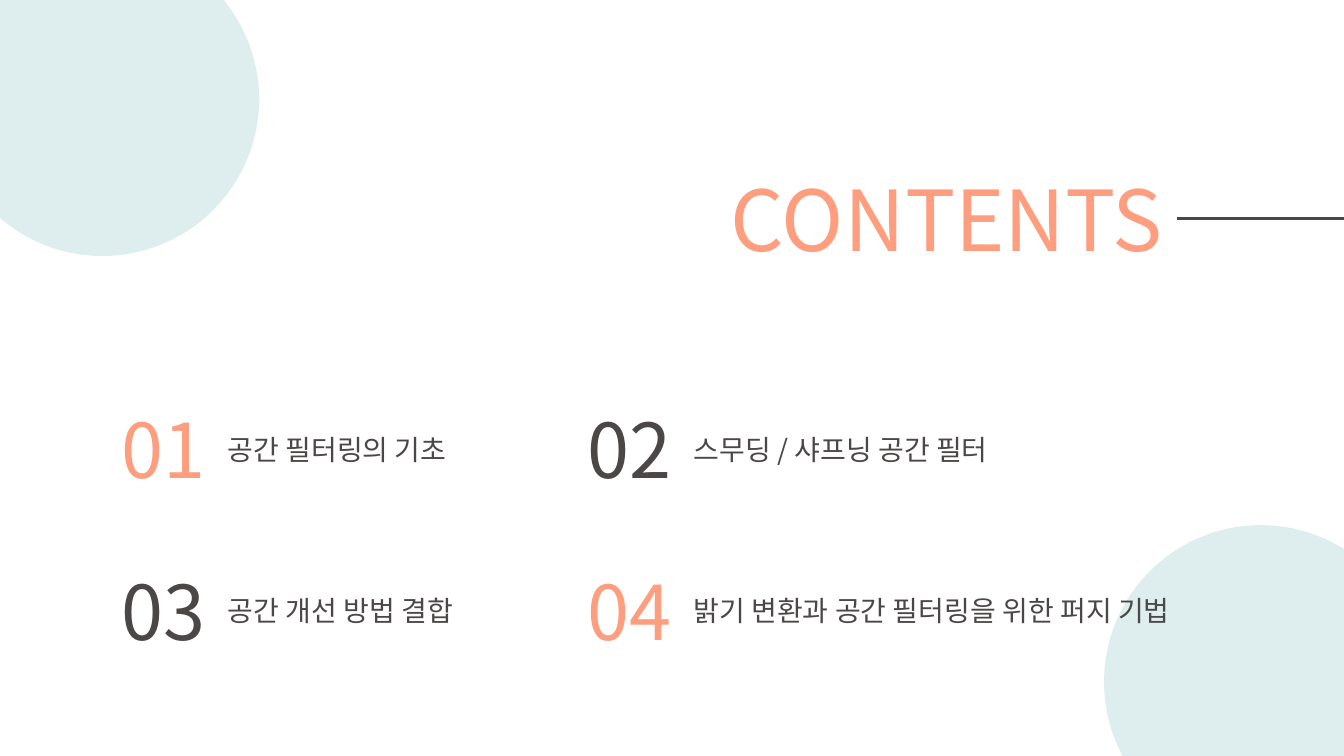
"""Build the contents slide with four numbered topics."""
from lxml import etree
from pptx import Presentation
from pptx.dml.color import RGBColor
from pptx.enum.shapes import MSO_CONNECTOR, MSO_SHAPE
from pptx.enum.text import MSO_ANCHOR, MSO_AUTO_SIZE, PP_ALIGN
from pptx.oxml.ns import qn
from pptx.util import Pt

LEFT, TOP, FIT = PP_ALIGN.LEFT, MSO_ANCHOR.TOP, MSO_AUTO_SIZE.SHAPE_TO_FIT_TEXT
OVAL, STRAIGHT = MSO_SHAPE.OVAL, MSO_CONNECTOR.STRAIGHT

PX = 9144
FONT = "Noto Sans CJK KR"
COLORS = {"coral": "FE9E7E", "dark": "4C4747", "mint": "C8E4E5"}


def add_alpha(fill, percent):
    color = fill._xPr.find(qn("a:solidFill"))[0]
    etree.SubElement(color, qn("a:alpha")).set("val", str(percent * 1000))


def write(sp, box, text, size, color):
    sp.left, sp.top, sp.width, sp.height = [v * PX for v in box]
    tf = sp.text_frame
    tf.word_wrap = False
    tf.auto_size = FIT
    tf.vertical_anchor = TOP
    p = tf.paragraphs[0]
    p.alignment = LEFT
    r = p.add_run()
    r.text = text
    r.font.size = Pt(size)
    r.font.name = FONT
    r.font.fill.solid()
    r.font.fill.fore_color.rgb = RGBColor.from_string(COLORS[color])
    rPr = r.font._element
    ln = etree.Element(qn("a:ln"), w=str(Pt(0.75)))
    fill = etree.SubElement(ln, qn("a:solidFill"))
    clr = etree.SubElement(fill, qn("a:srgbClr"), val=COLORS[color])
    etree.SubElement(clr, qn("a:alpha"), val="20000")
    rPr.insert(0, ln)
    ea = etree.Element(qn("a:ea"), typeface=FONT)
    rPr.find(qn("a:latin")).addnext(ea)


prs = Presentation()
prs.slide_width, prs.slide_height = 1333 * PX, 750 * PX
s = prs.slides.add_slide(prs.slide_layouts[5])

write(s.shapes.title, (715, 161, 452, 111), "CONTENTS", 60, "coral")

rule = s.shapes.add_connector(STRAIGHT, 1167 * PX, 217 * PX, 1333 * PX, 217 * PX)
rule.line.color.rgb = RGBColor.from_string(COLORS["dark"])
rule.line.width = Pt(2.25)
etree.SubElement(rule._element.spPr, qn("a:effectLst"))

for x, y in [(-54, -57), (1095, 521)]:
    circle = s.shapes.add_shape(OVAL, x * PX, y * PX, 311 * PX, 311 * PX)
    circle.shadow.inherit = False
    circle.line.fill.background()
    circle.fill.solid()
    circle.fill.fore_color.rgb = RGBColor.from_string(COLORS["mint"])
    add_alpha(circle.fill, 60)

topics = [
    ("공간 필터링의 기초", 264),
    ("스무딩 / 샤프닝 공간 필터", 351),
    ("공간 개선 방법 결합", 274),
    ("밝기 변환과 공간 필터링을 위한 퍼지 기법", 556),
]
for i, (topic, width) in enumerate(topics):
    row, col = divmod(i, 2)
    x, y = 111 + 462 * col, 395 + 160 * row
    color = "coral" if row == col else "dark"
    number = s.shapes.add_textbox(0, 0, 0, 0)
    write(number, (x, y, 105, 101), f"{i + 1:02d}", 54, color)
    label = s.shapes.add_textbox(0, 0, 0, 0)
    write(label, (x + 105, y + 29, width, 44), topic, 20, "dark")

prs.save("out.pptx")
